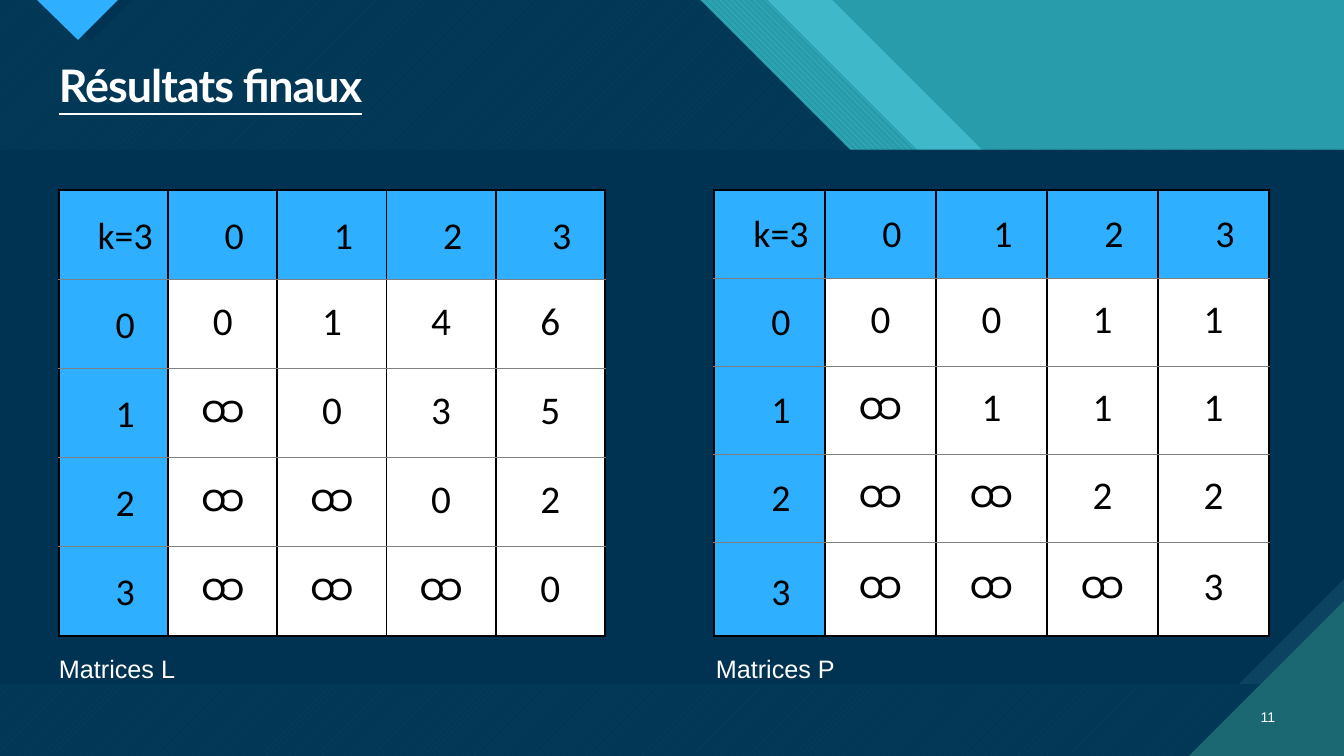
"""Build the slide of the final L and P matrices."""
from pptx import Presentation
from pptx.dml.color import RGBColor
from pptx.enum.dml import MSO_PATTERN as Pattern
from pptx.enum.text import MSO_ANCHOR as Anchor, PP_ALIGN as Align
from pptx.oxml.xmlchemy import OxmlElement as Node
from pptx.util import Pt

WIDE, HIGH = 1344, 756
NAVY, SKY, AQUA, TEAL, PINE = "003352", "2FAFFF", "47C3D3", "299CAB", "1B6872"
WHITE, BLACK, GREY = "FFFFFF", "000000", "808080"
LABELS = ["0", "1", "2", "3"]
COSTS = ["0146", "ထ035", "ထထ02", "ထထထ0"]
PATHS = ["0011", "ထ111", "ထထ22", "ထထထ3"]


def px(n):
    return round(n * 12192000 / WIDE)


def hue(code):
    return RGBColor.from_string(code)


def write(frame, text, size, font="Arial", color=WHITE, align=Align.LEFT,
          anchor=Anchor.TOP, bold=False, under=False, space=None, lead=None):
    frame.word_wrap = True
    frame.vertical_anchor = anchor
    para = frame.paragraphs[0]
    para.alignment = align
    if lead:
        para.line_spacing = lead
    run = para.add_run()
    run.text = text
    face = run.font
    face.name, face.size, face.bold, face.underline = font, Pt(size), bold, under
    face.color.rgb = hue(color)
    if space:
        run._r.get_or_add_rPr().set("spc", str(space))


def label(slide, text, x, y, w, h, **style):
    box = slide.shapes.add_textbox(px(x), px(y), px(w), px(h))
    write(box.text_frame, text, **style)


def patch(slide, points, color, back=None, pattern=None, alpha=None):
    spots = [(px(x), px(y)) for x, y in points]
    pen = slide.shapes.build_freeform(*spots[0], scale=1.0)
    pen.add_line_segments(spots[1:], close=True)
    shape = pen.convert_to_shape()
    shape.shadow.inherit = False
    shape.line.fill.background()
    fill = shape.fill
    if pattern:
        fill.patterned()
        fill.pattern = pattern
        fill.fore_color.rgb, fill.back_color.rgb = hue(color), hue(back)
        return
    fill.solid()
    fill.fore_color.rgb = hue(color)
    if alpha:
        node = Node("a:alpha")
        node.set("val", str(alpha * 1000))
        shape._element.spPr.find(".//{*}solidFill")[0].append(node)


def edge(cell, side, color, width):
    line = Node(f"a:ln{side}")
    line.set("w", str(Pt(width)))
    fill, tint = Node("a:solidFill"), Node("a:srgbClr")
    tint.set("val", color)
    fill.append(tint)
    line.append(fill)
    cell._tc.get_or_add_tcPr().append(line)


def pad(cell, left, top, right, bottom):
    cell.margin_left, cell.margin_top = px(left), px(top)
    cell.margin_right, cell.margin_bottom = px(right), px(bottom)


def matrix(slide, rows, x, w, tall):
    grid = [["k=3", *LABELS]] + [[n, *row] for n, row in zip(LABELS, rows)]
    last = len(grid) - 1
    table = slide.shapes.add_table(5, 5, px(x), px(190), px(w), px(446)).table
    table.first_row = table.horz_banding = False
    if tall:
        for i, row in enumerate(table.rows):
            row.height = px(tall if i == last else (446 - tall) / last)
    for i, row in enumerate(grid):
        for j, text in enumerate(row):
            cell = table.cell(i, j)
            head = i == 0 or j == 0
            edge(cell, "L", BLACK, 1.5)
            edge(cell, "R", BLACK, 1.5)
            edge(cell, "T", *((BLACK, 1.5) if i == 0 else (GREY, 0.5)))
            edge(cell, "B", *((BLACK, 1.5) if i == last else (GREY, 0.5)))
            cell.fill.solid()
            cell.fill.fore_color.rgb = hue(SKY if head else WHITE)
            pad(cell, *((25, 20, 2, 20) if head else (1, 1, 1, 5)))
            write(cell.text_frame, text, 27 if head else 28, "Calibri", BLACK, Align.CENTER)
            cell.vertical_anchor = Anchor.BOTTOM if head else Anchor.MIDDLE


def stage(slide):
    back = slide.background.fill
    back.solid()
    back.fore_color.rgb = hue(TEAL)
    base = [(WIDE, 150), (WIDE, HIGH), (0, HIGH), (0, 0)]
    patch(slide, [*base, (832, 0), (982, 150)], "3FB9C9")
    patch(slide, [*base, (767, 0), (917, 150)], AQUA, TEAL, Pattern.WIDE_DOWNWARD_DIAGONAL)
    dark = [*base, (700, 0), (850, 150)]
    patch(slide, dark, AQUA, PINE, Pattern.WIDE_UPWARD_DIAGONAL)
    patch(slide, dark, NAVY, alpha=90)
    patch(slide, [(49, 0), (133, 0), (91, 42)], NAVY)
    patch(slide, [(37, 0), (118, 0), (78, 40)], SKY)
    patch(slide, [(0, 150), (WIDE, 150), (WIDE, 684), (0, 684)], "0C4360")
    patch(slide, [(0, 150), (WIDE, 150), (WIDE, 579), (1239, 684), (0, 684)], NAVY)
    patch(slide, [(1189, HIGH), (WIDE, 601), (WIDE, HIGH)], PINE)


def main():
    deck = Presentation()
    deck.slide_width, deck.slide_height = px(WIDE), px(HIGH)
    slide = deck.slides.add_slide(deck.slide_layouts[6])
    stage(slide)
    label(slide, "Résultats finaux", 49, 59, 1236, 59, size=32, font="Lato",
          bold=True, under=True, space=-70, lead=0.9)
    label(slide, "11", 1241, 697, 44, 40, size=10, align=Align.RIGHT, anchor=Anchor.MIDDLE)
    matrix(slide, PATHS, 714, 555, 94)
    matrix(slide, COSTS, 59, 546, None)
    label(slide, "Matrices L", 49, 648, 572, 40, size=18)
    label(slide, "Matrices P", 706, 648, 572, 40, size=18)
    deck.save("out.pptx")


if __name__ == "__main__":
    main()
